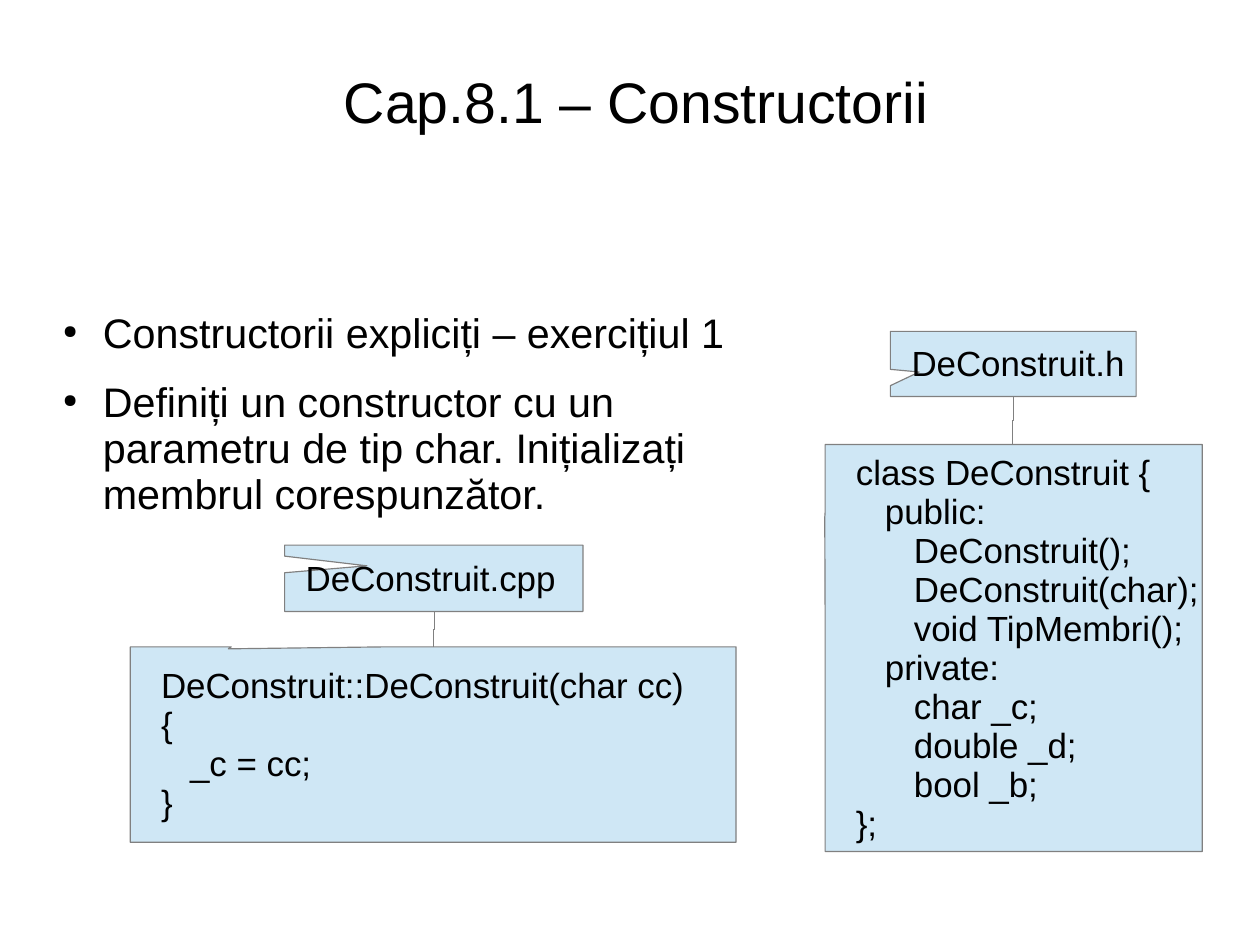
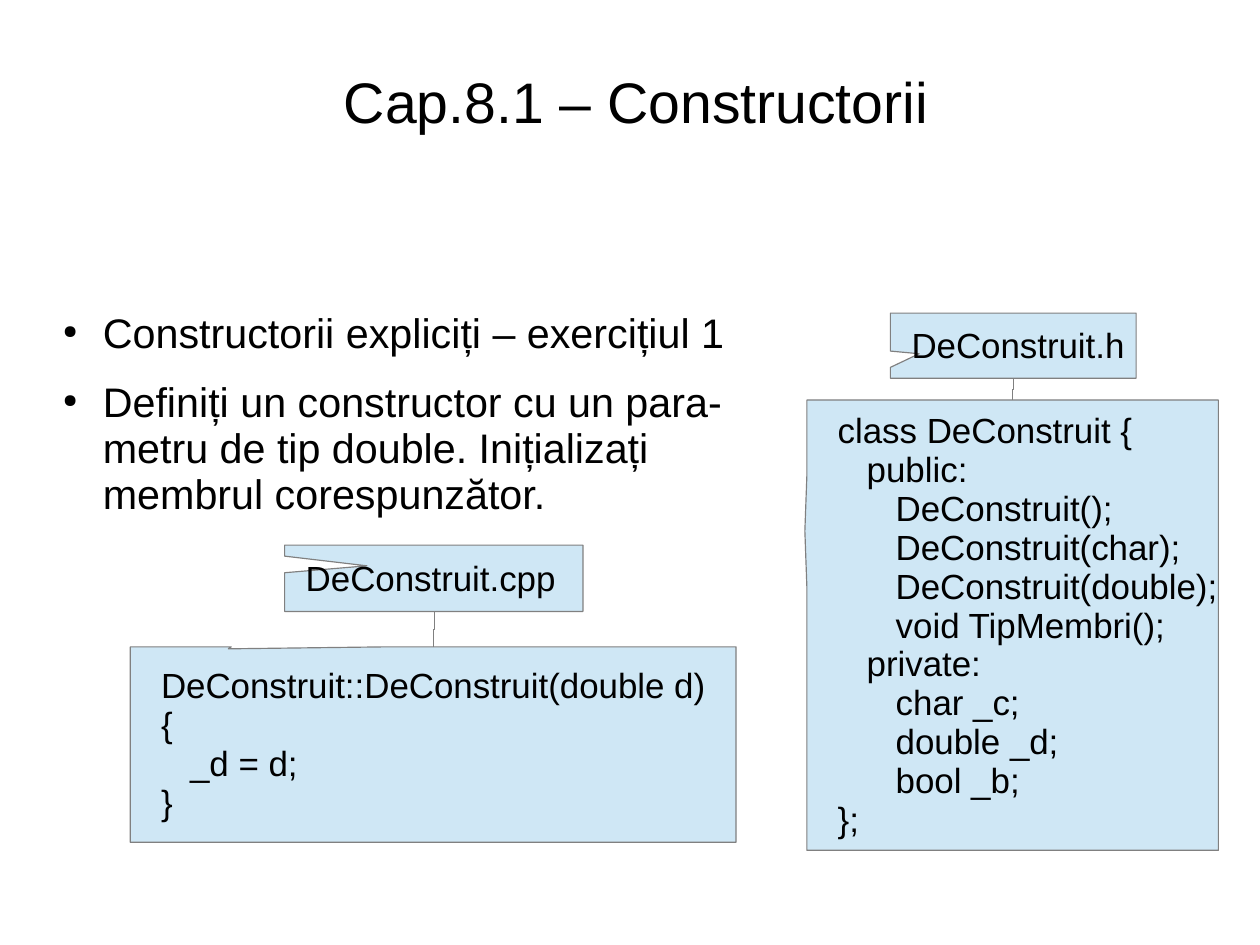
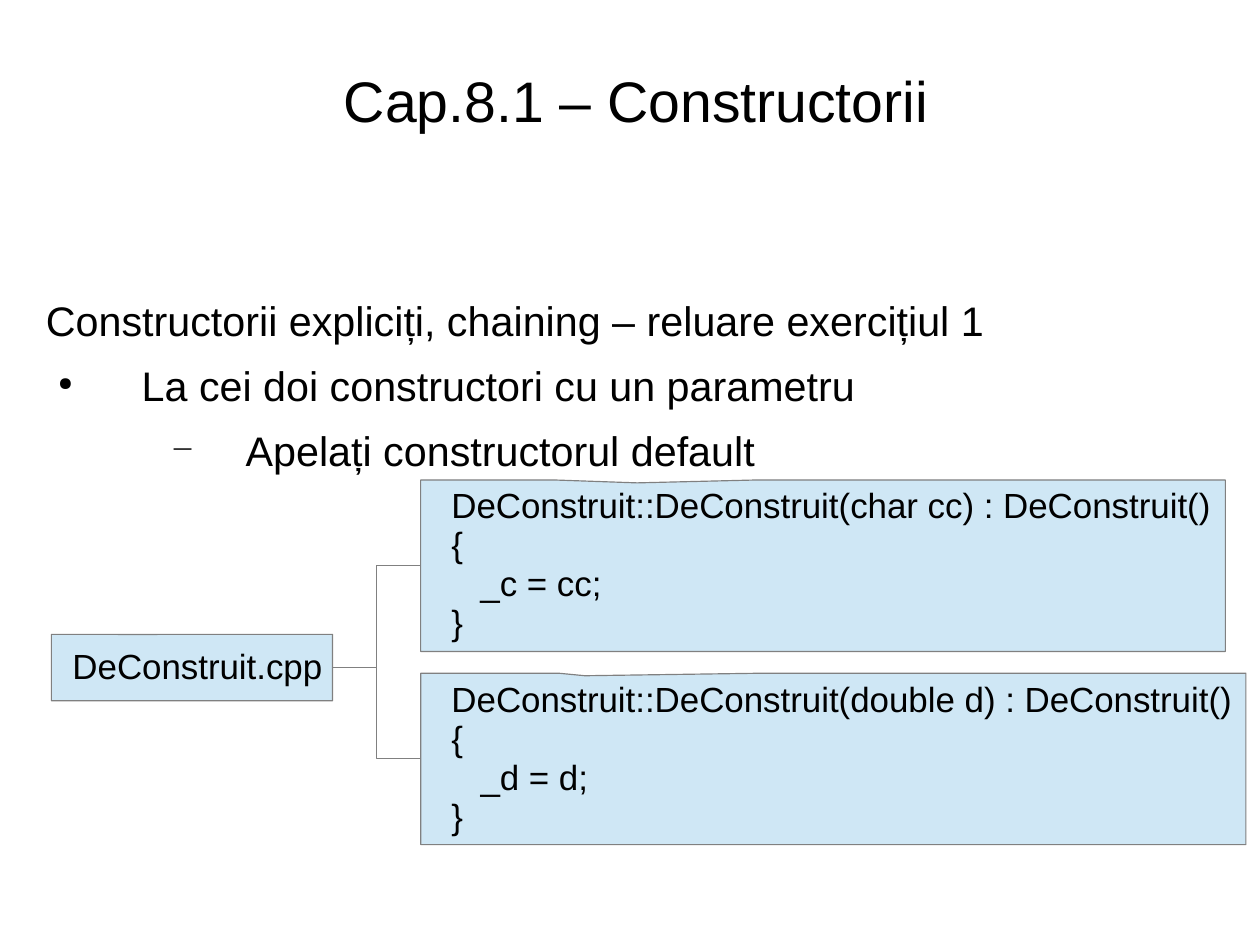
from lxml.etree import SubElement
from pptx import Presentation
from pptx.dml.color import RGBColor
from pptx.enum.shapes import MSO_CONNECTOR, MSO_SHAPE
from pptx.enum.text import MSO_ANCHOR, PP_ALIGN
from pptx.oxml.ns import qn
from pptx.util import Pt

# Shared style
FONT, INK, PALE, GREY = "Arial", "000000", "CFE7F5", "808080"
TITLE = "Cap.8.1 – Constructorii"


def paint(fill, tone):
    fill.solid()
    fill.fore_color.rgb = RGBColor.from_string(tone)


def write(frame, text, size=22, align=PP_ALIGN.LEFT, space=0.93, after=0,
          left=0, hang=0, mark=None, scale=45):
    for line in text.split("\n"):
        para = frame.add_paragraph() if frame.text else frame.paragraphs[0]
        props = para._p.get_or_add_pPr()
        props.set("marL", str(Pt(left)))
        props.set("indent", str(Pt(-hang)))
        if mark:
            tint = SubElement(props, qn("a:buClr"))
            SubElement(tint, qn("a:srgbClr")).set("val", INK)
            SubElement(props, qn("a:buSzPct")).set("val", str(scale * 1000))
            SubElement(props, qn("a:buChar")).set("char", mark)
        else:
            SubElement(props, qn("a:buNone"))
        para.alignment = align
        para.line_spacing = space
        para.space_after = Pt(after)
        run = para.add_run()
        run.text = line
        run.font.name, run.font.size = FONT, Pt(size)
        paint(run.font.fill, INK)


# Code: the header gains a constructor on the second slide
HEAD = """class DeConstruit {{
   public:
      DeConstruit();
{}
      void TipMembri();
   private:
      char _c;
      double _d;
      bool _b;
}};"""
BODY = "DeConstruit::DeConstruit({}){}\n{{\n   {};\n}}"
CHAR, REAL = "      DeConstruit(char);", "      DeConstruit(double);"
CHAIN = " : DeConstruit()"

# Boxes: text, left, top, width, height, callout tip x and y
TAG_H, TAG_C = "DeConstruit.h", "DeConstruit.cpp"
NAME = (TAG_C, 179.3, 343.4, 187.9, 41.8, -0.224, -0.188)
SPOT = (82.1, 407.5, 381.6, 123.1, -0.338, -0.49)

# Bullets
DOT = dict(left=33.8, hang=25.2, mark="●", after=14.1)
TASK = "Definiți un constructor cu un {}. Inițializați membrul corespunzător."

# Slides: title inset, box inset, body place, body inset, body lines,
# groups of a label with its code boxes, links downward or not
slides = []
for kind, args, step, top, place, ctors in (
        ("parametru de tip char", "char cc", "_c = cc", 208.8,
         (519.8, 280.1, 237.6, 256.3, -0.501, -0.321), CHAR),
        ("para-metru de tip double", "double d", "_d = d", 197.3,
         (508.3, 252, 259.2, 283.7, -0.505, -0.209), CHAR + "\n" + REAL)):
    slides.append((
        2.2, 5, (31, 194.4, 438.3, 159.8), 2.2,
        [("Constructorii expliciți – exercițiul 1", DOT),
         (TASK.format(kind), DOT)],
        [((TAG_H, 560.9, top, 154.8, 41, -0.383, 0.124),
          [(HEAD.format(ctors), *place)]),
         (NAME, [(BODY.format(args, "", step), *SPOT)])],
        True))
slides.append((
    0, 3.6, (28.1, 186.5, 636.5, 144.7), 3.6,
    [("Constructorii expliciți, chaining – reluare exercițiul 1",
      dict(left=27.4, hang=26.6, space=0.87, after=14.1)),
     ("La cei doi constructori cu un parametru",
      dict(left=61.2, hang=52.6, space=0.87, after=14.1, mark="●")),
     ("Apelați constructorul default",
      dict(left=126.7, hang=47.5, space=0.87, after=11.4, mark="−", scale=75))],
    [((TAG_C, 32.4, 399.6, 177.1, 41.8, -0.174, -0.497),
      [(BODY.format("char cc", CHAIN, "_c = cc"),
        265, 302.4, 506.9, 108, -0.231, -0.483),
       (BODY.format("double d", CHAIN, "_d = d"),
        265, 424.1, 519.8, 108, -0.301, -0.485)])],
    False))

deck = Presentation()
deck.slide_width, deck.slide_height = Pt(793.7), Pt(595.3)

for lift, inset, area, drop, lines, groups, down in slides:
    slide = deck.slides.add_slide(deck.slide_layouts[6])
    paint(slide.background.fill, "FFFFFF")

    # Title and body text
    head = [(TITLE, dict(align=PP_ALIGN.CENTER, size=36))]
    text = [(line, dict(form, size=26)) for line, form in lines]
    for place, pad, anchor, paras in (
            ((25.9, 20.2, 749.5, 89.3), lift, MSO_ANCHOR.MIDDLE, head),
            (area, drop, MSO_ANCHOR.TOP, text)):
        frame = slide.shapes.add_textbox(*map(Pt, place)).text_frame
        frame.word_wrap = True
        frame.vertical_anchor = anchor
        frame.margin_left = frame.margin_right = frame.margin_bottom = 0
        frame.margin_top = Pt(pad)
        for line, form in paras:
            write(frame, line, **form)

    for label, codes in groups:
        # Label and code boxes
        for pad, box in [(13.3, label)] + [(19.4, code) for code in codes]:
            line, *place, tip_x, tip_y = box
            shape = slide.shapes.add_shape(
                MSO_SHAPE.RECTANGULAR_CALLOUT, *map(Pt, place))
            shape.adjustments[0], shape.adjustments[1] = tip_x, tip_y
            shape.shadow.inherit = False
            paint(shape.fill, PALE)
            paint(shape.line.fill, GREY)
            shape.line.width = Pt(0.75)
            frame = shape.text_frame
            frame.word_wrap = False
            frame.vertical_anchor = MSO_ANCHOR.MIDDLE
            frame.margin_left, frame.margin_right = Pt(pad), Pt(7.2)
            frame.margin_top, frame.margin_bottom = Pt(inset), Pt(3.6)
            write(frame, line)

        # Links from the label to each code box
        x, y, wide, high = label[1:5]
        for code in codes:
            if down:
                span = code[2] - y - high
                mid_x, mid_y = x + wide / 2, y + high + span / 2
                ends = (mid_x - span / 2, mid_y - 0.35,
                        mid_x + span / 2, mid_y + 0.35)
            else:
                ends = (x + wide, y + high / 2, code[1], code[2] + code[4] / 2)
            link = slide.shapes.add_connector(
                MSO_CONNECTOR.ELBOW, *map(Pt, ends))
            paint(link.line.fill, GREY)
            link.line.width = Pt(0.75)
            props = link._element.spPr
            SubElement(props, qn("a:effectLst"))
            if down:
                props.find(qn("a:xfrm")).set("rot", "5400000")

deck.save("out.pptx")
